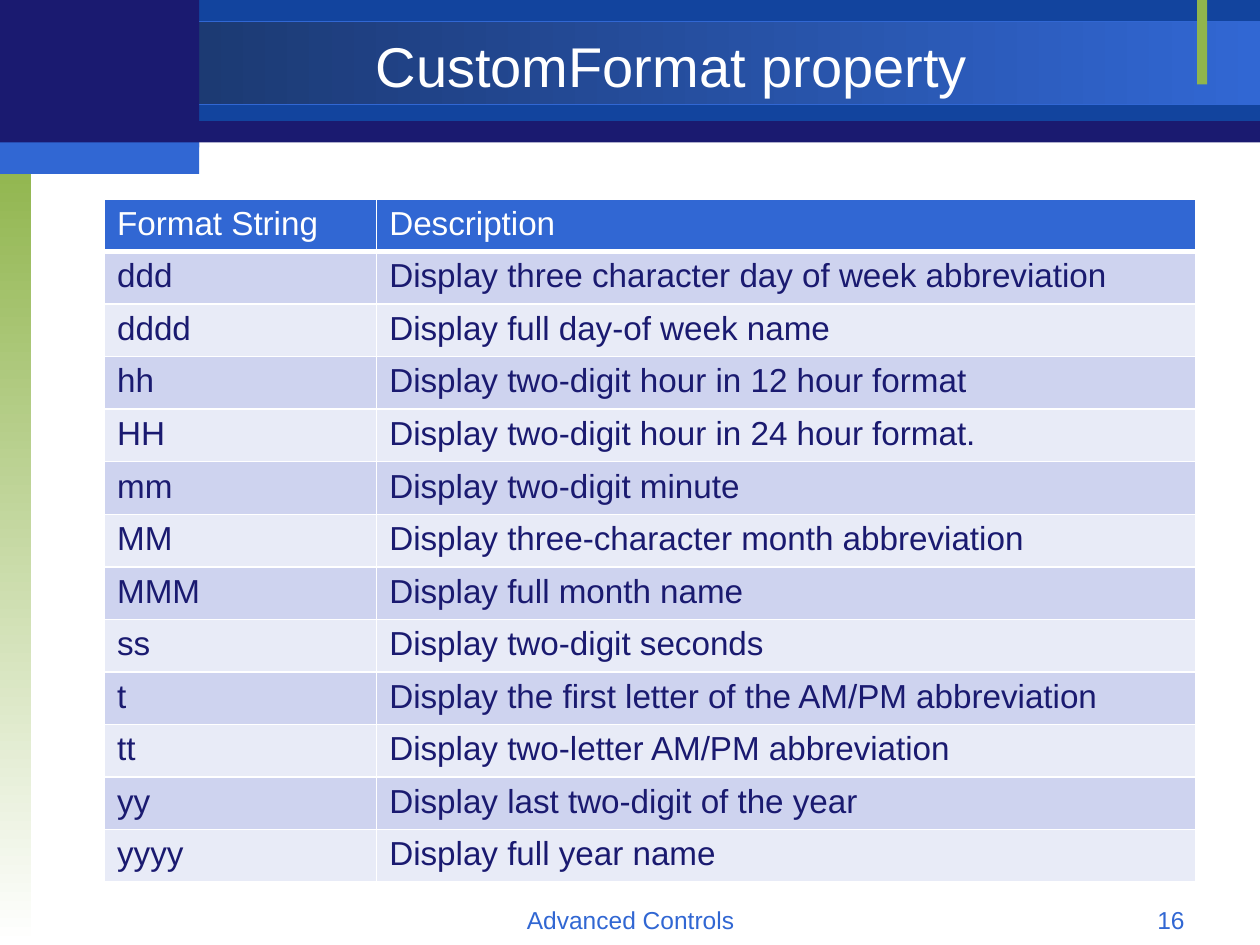
from lxml import etree
from pptx import Presentation
from pptx import util as u
from pptx.dml import color as clr
from pptx.enum import shapes, text
from pptx.oxml import ns

COLORS = {
    "navy": "1A1A70",
    "deep": "12449E",
    "band": "183161",
    "blue": "3167D3",
    "green": "90B54D",
    "white": "FFFFFF",
    "row_dark": "CED3EF",
    "row_light": "E8EBF7",
}

FORMATS = [
    ("Format String", "Description"),
    ("ddd", "Display three character day of week abbreviation"),
    ("dddd", "Display full day-of week name"),
    ("hh", "Display two-digit hour in 12 hour format"),
    ("HH", "Display two-digit hour in 24 hour format."),
    ("mm", "Display two-digit minute"),
    ("MM", "Display three-character month abbreviation"),
    ("MMM", "Display full month name"),
    ("ss", "Display two-digit seconds"),
    ("t", "Display the first letter of the AM/PM abbreviation"),
    ("tt", "Display two-letter AM/PM abbreviation"),
    ("yy", "Display last two-digit of the year"),
    ("yyyy", "Display full year name"),
]


def rgb(name):
    return clr.RGBColor.from_string(COLORS[name])


def write(frame, words, *, size, color, align=text.PP_ALIGN.LEFT,
          anchor=text.MSO_ANCHOR.TOP):
    frame.word_wrap = True
    frame.vertical_anchor = anchor
    paragraph = frame.paragraphs[0]
    paragraph.alignment = align
    run = paragraph.add_run()
    run.text = words
    run.font.name = "Arial"
    run.font.size = u.Pt(size)
    run.font.bold = False
    run.font.color.rgb = rgb(color)


def add_block(slide, box, *fills, angle=0, line=None):
    """Add a rectangle; two fill names make a gradient."""
    block = slide.shapes.add_shape(shapes.MSO_SHAPE.RECTANGLE, *map(u.Inches, box))
    block.shadow.inherit = False
    if len(fills) == 1:
        block.fill.solid()
        block.fill.fore_color.rgb = rgb(fills[0])
    else:
        block.fill.gradient()
        block.fill.gradient_angle = angle
        for stop, name in zip(block.fill.gradient_stops, fills):
            stop.color.rgb = rgb(name)
    if line:
        block.line.color.rgb = rgb(line)
        block.line.width = u.Pt(0.75)
    else:
        block.line.fill.background()


def add_background(slide):
    # Header bands
    add_block(slide, (0, 0.01, 10, 1.12), "navy")
    add_block(slide, (1.58, 0, 8.42, 0.96), "deep")
    add_block(slide, (0, 0.17, 10, 0.66), "band", "blue", line="blue")
    # Side strip, fading downwards, and the accent mark
    add_block(slide, (0, 1.25, 0.25, 6.25), "green", "white", angle=270)
    add_block(slide, (9.5, 0, 0.08, 0.67), "green")
    # Corner
    add_block(slide, (0, 0, 1.58, 1.17), "navy")
    add_block(slide, (0, 1.13, 1.58, 0.25), "blue")


def add_title(slide, words):
    title = slide.shapes.title
    title.left, title.top, title.width, title.height = map(
        u.Inches, (1.58, 0.23, 7.5, 0.58))
    write(title.text_frame, words, size=32, color="white",
          align=text.PP_ALIGN.CENTER, anchor=text.MSO_ANCHOR.MIDDLE)
    slide.shapes._spTree.append(title._element)  # in front of the bands


def add_footer(slide, words, box, align):
    footer = slide.shapes.add_textbox(*map(u.Inches, box))
    write(footer.text_frame, words, size=14, color="blue", align=align)


def set_borders(cell, bottom):
    properties = cell._tc.get_or_add_tcPr()
    widths = {"lnL": 1, "lnR": 1, "lnT": 1, "lnB": bottom}
    for position, (side, width) in enumerate(widths.items()):
        border = etree.Element(ns.qn(f"a:{side}"), w=str(u.Pt(width)))
        fill = etree.SubElement(border, ns.qn("a:solidFill"))
        etree.SubElement(fill, ns.qn("a:srgbClr"), val=COLORS["white"])
        properties.insert(position, border)


def add_format_table(slide, entries):
    table = slide.shapes.add_table(
        len(entries), 2, *map(u.Inches, (0.83, 1.58, 8.67, 5.35))).table
    for column, width in zip(table.columns, (2.16, 6.5)):
        column.width = u.Inches(width)
    for row, entry in enumerate(entries):
        header = row == 0
        fill = "blue" if header else "row_dark" if row % 2 else "row_light"
        for column, words in enumerate(entry):
            cell = table.cell(row, column)
            cell.fill.solid()
            cell.fill.fore_color.rgb = rgb(fill)
            set_borders(cell, bottom=3 if header else 1)
            write(cell.text_frame, words, size=19,
                  color="white" if header else "navy")


def main():
    deck = Presentation()
    deck.slide_width, deck.slide_height = u.Inches(10), u.Inches(7.5)
    slide = deck.slides.add_slide(deck.slide_layouts[5])
    add_background(slide)
    add_title(slide, "CustomFormat property")
    add_footer(slide, "Advanced Controls", (3.42, 7.13, 3.17, 0.27),
               text.PP_ALIGN.CENTER)
    add_footer(slide, "16", (7.17, 7.13, 2.33, 0.27), text.PP_ALIGN.RIGHT)
    add_format_table(slide, FORMATS)
    deck.save("out.pptx")


if __name__ == "__main__":
    main()
